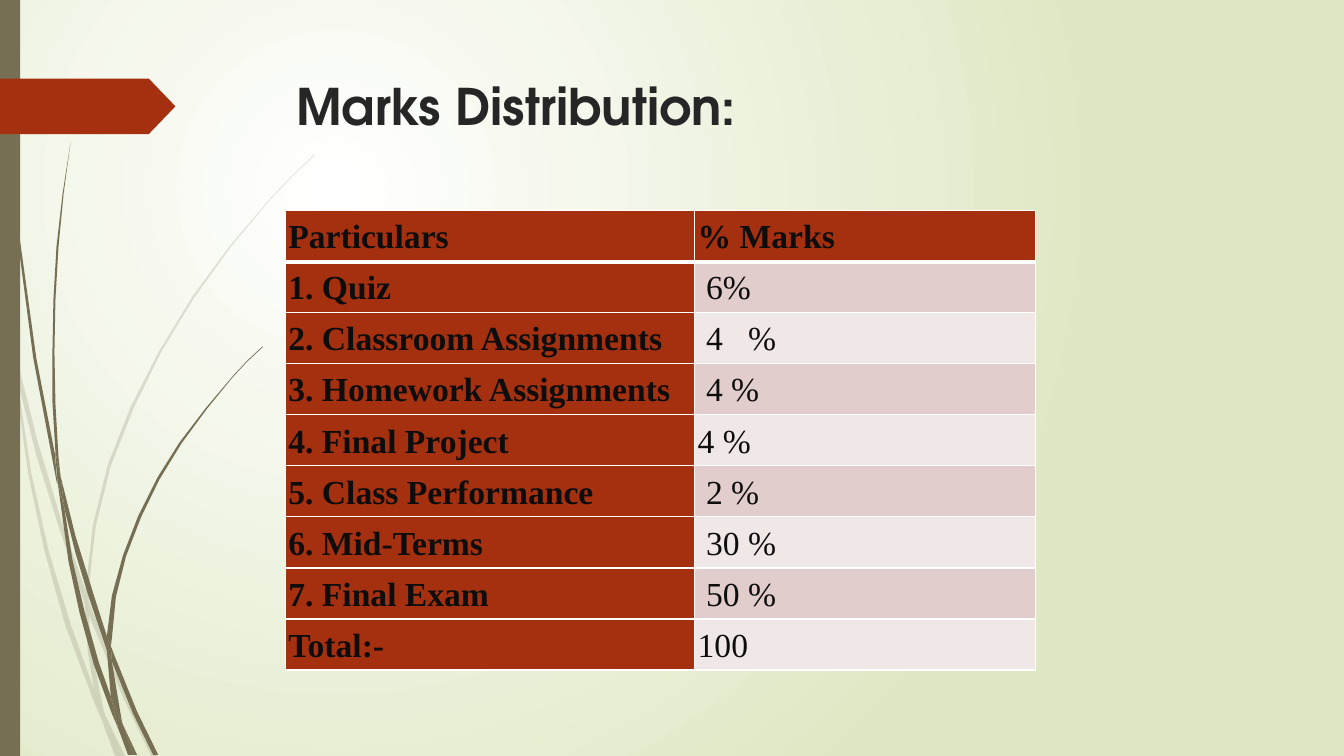
from lxml.etree import SubElement
from pptx import Presentation
from pptx.dml.color import RGBColor
from pptx.enum.shapes import MSO_SHAPE
from pptx.enum.text import MSO_ANCHOR, PP_ALIGN
from pptx.oxml.ns import qn
from pptx.util import Inches, Pt

COLORS = {
    "white": "FFFFFF", "lime": "DFE8C4", "olive": "766F54", "rust": "A53010",
    "title": "262626", "text": "0D0D0D", "band_dark": "E1CDCC", "band_light": "F0E8E7",
}

BACK_BLADES = [
    [(0.11, 3.5), (0.09, 3.22), (0, 2.82), (0, 2.99), (0.1, 3.44)],
    [(0.58, 5.22), (0.84, 5.99), (0.85, 5.86), (0.62, 5.2), (0.37, 4.37), (0.14, 3.45),
     (0.17, 3.76), (0.36, 4.52)],
    [(0.92, 6.07), (0.88, 5.96), (0.88, 6.1), (1.23, 6.94), (1.5, 7.5), (1.55, 7.5),
     (1.27, 6.92)],
    [(1.19, 7.5), (1.24, 7.5), (1.05, 7.11)],
    [(0.93, 6.83), (0.7, 6.19), (0.48, 5.45), (0.31, 4.69), (0.17, 3.76), (0.11, 3.5),
     (0.28, 4.7), (0.44, 5.46), (0.65, 6.21), (0.92, 6.93), (1.01, 7.14), (0.99, 7.07)],
    [(0.84, 5.99), (0.87, 6.46), (0.93, 6.83), (0.96, 6.92), (1.05, 7.11), (1.03, 7.06),
     (0.91, 6.46), (0.88, 6.1), (0.88, 6.08)],
    [(0.88, 5.84), (0.95, 5.22), (1.1, 4.62), (1.33, 4.04), (1.6, 3.49), (1.93, 2.95),
     (2.29, 2.45), (2.68, 1.98), (2.9, 1.75), (3.12, 1.54), (3.12, 1.53), (2.89, 1.75),
     (2.68, 1.97), (2.28, 2.44), (1.91, 2.94), (1.58, 3.48), (1.3, 4.03), (1.07, 4.61),
     (0.92, 5.22), (0.85, 5.84), (0.85, 5.86), (0.88, 5.96)],
    [(1.01, 7.14), (1.14, 7.5), (1.19, 7.5)],
    [(0.88, 6.08), (0.88, 6.1), (0.88, 5.96), (0.85, 5.86), (0.84, 5.99)],
    [(0.96, 6.92), (0.93, 6.83), (0.99, 7.07), (1.01, 7.14), (1.19, 7.5), (1.05, 7.11)],
]
FRONT_BLADES = [
    [(0.07, 1.1), (0.17, 2.33), (0.33, 3.55), (0.56, 4.77), (0.57, 4.81), (0.55, 4.57),
     (0.55, 4.53), (0.36, 3.55), (0.19, 2.32), (0.08, 1.09), (0.05, 0.48), (0.04, 0),
     (0.03, 0), (0.04, 0.48)],
    [(0.88, 5.92), (1.06, 6.45), (1.06, 6.33), (1.06, 6.31), (0.93, 5.9), (0.75, 5.32),
     (0.6, 4.72), (0.64, 5.05), (0.75, 5.49)],
    [(1.13, 6.49), (1.1, 6.41), (1.11, 6.56), (1.32, 7.08), (1.52, 7.49), (1.57, 7.49),
     (1.36, 7.06)],
    [(1.1, 6.91), (0.98, 6.57), (0.84, 6.07), (0.72, 5.56), (0.64, 5.05), (0.57, 4.77),
     (0.68, 5.57), (0.79, 6.08), (0.93, 6.59), (1.11, 7.08), (1.17, 7.22), (1.16, 7.17)],
    [(0.6, 4.72), (0.58, 4.53), (0.55, 4.01), (0.54, 3.49), (0.55, 2.97), (0.58, 2.45),
     (0.63, 1.93), (0.7, 1.41), (0.62, 1.93), (0.56, 2.45), (0.53, 2.97), (0.52, 3.49),
     (0.52, 3.99), (0.55, 4.49)],
    [(1.33, 7.49), (1.36, 7.49), (1.22, 7.19)],
    [(0.57, 4.77), (0.64, 5.05), (0.6, 4.72), (0.55, 4.49), (0.55, 4.53)],
    [(1.11, 6.33), (1.15, 5.92), (1.25, 5.52), (1.4, 5.13), (1.58, 4.76), (1.8, 4.4),
     (2.05, 4.06), (2.31, 3.74), (2.45, 3.59), (2.61, 3.44), (2.6, 3.44), (2.45, 3.58),
     (2.31, 3.73), (2.04, 4.05), (1.78, 4.39), (1.56, 4.74), (1.37, 5.12), (1.22, 5.51),
     (1.11, 5.91), (1.06, 6.31), (1.1, 6.41)],
    [(1.17, 7.22), (1.27, 7.49), (1.31, 7.49)],
    [(1.06, 6.45), (1.1, 6.91), (1.16, 7.06), (1.22, 7.19), (1.21, 7.16), (1.11, 6.56),
     (1.09, 6.51)],
    [(1.06, 6.45), (1.09, 6.51), (1.11, 6.56), (1.1, 6.41), (1.06, 6.31), (1.06, 6.33)],
    [(1.16, 7.06), (1.1, 6.91), (1.16, 7.17), (1.17, 7.22), (1.3, 7.49), (1.33, 7.49),
     (1.22, 7.19)],
]
ROWS = [
    ("Particulars", "% Marks"),
    ("1. Quiz", " 6%"),
    ("2. Classroom Assignments", " 4   %"),
    ("3. Homework Assignments", " 4 %"),
    ("4. Final Project", "4 %"),
    ("5. Class Performance", " 2 %"),
    ("6. Mid-Terms", " 30 %"),
    ("7. Final Exam", " 50 %"),
    ("Total:-", "100"),
]


def paint(shape, color):
    shape.shadow.inherit = False
    shape.fill.solid()
    shape.fill.fore_color.rgb = RGBColor.from_string(COLORS[color])
    shape.line.fill.background()


prs = Presentation()
prs.slide_width, prs.slide_height = Inches(13.33), Inches(7.5)
s = prs.slides.add_slide(prs.slide_layouts[5])

bg = s.background.fill
bg.gradient()
for stop, color in zip(bg.gradient_stops, ("white", "lime")):
    stop.color.rgb = RGBColor.from_string(COLORS[color])
grad = s._element.find(".//" + qn("a:gradFill"))
grad.remove(grad.find(qn("a:lin")))
circle = SubElement(grad, qn("a:path"), path="circle")
SubElement(circle, qn("a:fillToRect"), l="50000", t="50000", r="100000", b="100000")

for blades, alpha in ((BACK_BLADES, 20), (FRONT_BLADES, 100)):
    for outline in blades:
        points = [(Inches(x), Inches(y)) for x, y in outline]
        fb = s.shapes.build_freeform(*points[0])
        fb.add_line_segments(points[1:], close=True)
        blade = fb.convert_to_shape()
        paint(blade, "olive")
        if alpha < 100:
            clr = blade._element.spPr.find(qn("a:solidFill"))[0]
            SubElement(clr, qn("a:alpha"), val=str(alpha * 1000))

side_bar = s.shapes.add_shape(MSO_SHAPE.RECTANGLE, 0, 0, Inches(0.2), Inches(7.5))
paint(side_bar, "olive")
arrow = s.shapes.add_shape(MSO_SHAPE.PENTAGON, 0, Inches(0.78), Inches(1.74), Inches(0.55))
arrow.adjustments[0] = 0.48
paint(arrow, "rust")

title = s.shapes.title
s.shapes._spTree.append(title._element)
title.left, title.top = Inches(2.84), Inches(0.69)
title.width, title.height = Inches(9.75), Inches(1.4)
tf = title.text_frame
tf.text = "Marks Distribution:"
tf.vertical_anchor = MSO_ANCHOR.TOP
p = tf.paragraphs[0]
p.alignment = PP_ALIGN.LEFT
p.font.name, p.font.size, p.font.bold = "TeX Gyre Adventor", Pt(36), True
p.font.color.rgb = RGBColor.from_string(COLORS["title"])

table = s.shapes.add_table(len(ROWS), 2, Inches(2.83), Inches(2.09),
                           Inches(7.44), Inches(4.56)).table
table.columns[0].width, table.columns[1].width = Inches(4.06), Inches(3.38)
for i, row in enumerate(ROWS):
    for j, text in enumerate(row):
        cell = table.cell(i, j)
        cell.margin_left = cell.margin_right = Inches(0.03)
        cell.margin_top = cell.margin_bottom = 0
        cell.vertical_anchor = MSO_ANCHOR.MIDDLE
        for side in "LRTB":
            thick = (i, side) in ((0, "B"), (1, "T"))
            ln = SubElement(cell._tc.get_or_add_tcPr(), qn("a:ln" + side),
                            w=str(Pt(3 if thick else 1)))
            SubElement(SubElement(ln, qn("a:solidFill")), qn("a:srgbClr"), val=COLORS["white"])
        heading = i == 0 or j == 0
        fill = "rust" if heading else "band_dark" if i % 2 else "band_light"
        cell.fill.solid()
        cell.fill.fore_color.rgb = RGBColor.from_string(COLORS[fill])
        cell.text = text
        p = cell.text_frame.paragraphs[0]
        p.line_spacing = 1.07
        p.font.name, p.font.size, p.font.bold = "Times New Roman", Pt(24), heading
        p.font.color.rgb = RGBColor.from_string(COLORS["text"])

prs.save("out.pptx")
